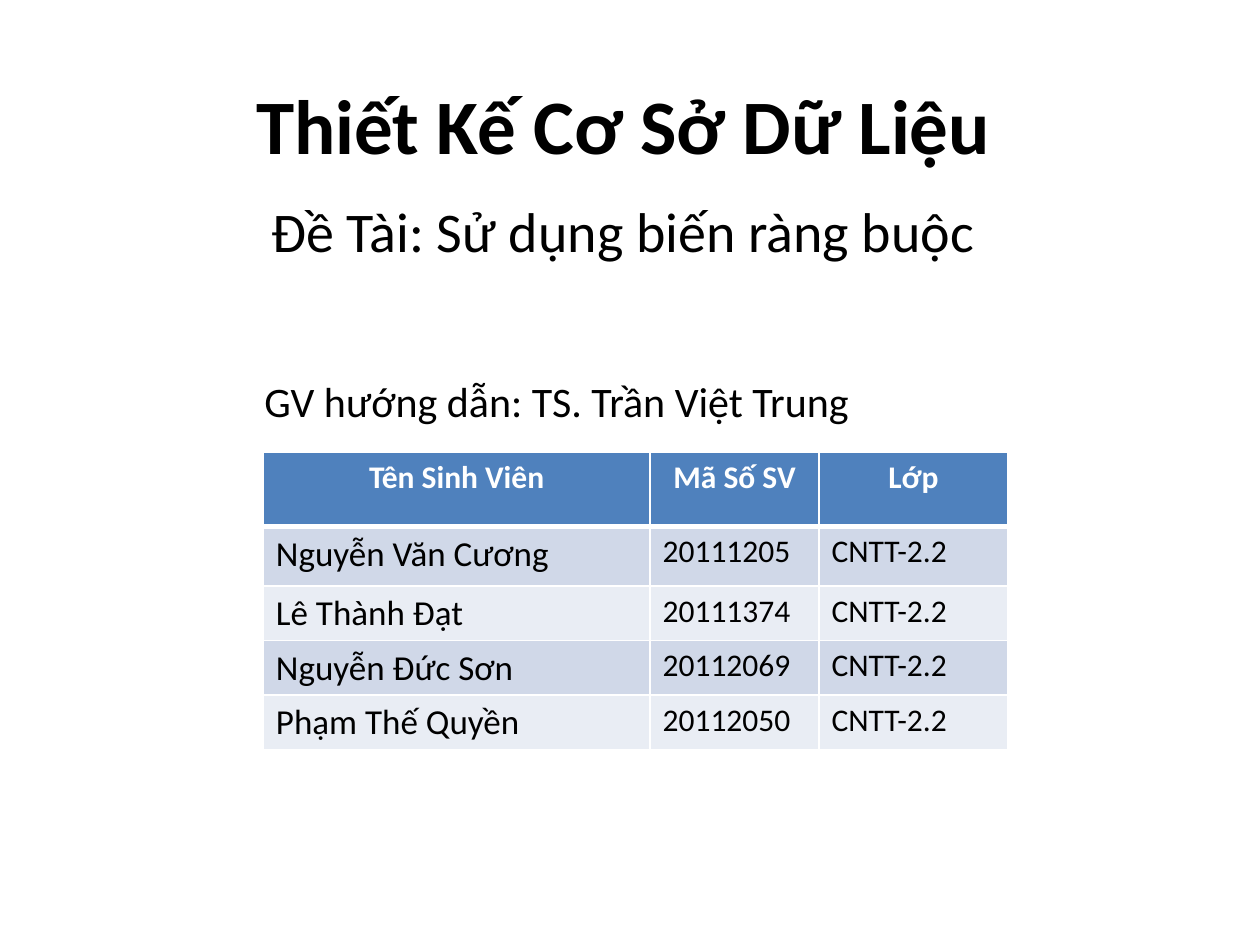
"""Builds a title slide with the topic, the adviser and a table of students."""
from lxml.etree import SubElement
from pptx import Presentation
from pptx.dml.color import RGBColor
from pptx.enum.text import MSO_ANCHOR, PP_ALIGN
from pptx.oxml.ns import qn
from pptx.util import Inches, Pt


def style(para, size, color, bold=False, align=PP_ALIGN.LEFT):
    para.alignment = align
    font = para.font
    font.name, font.size, font.bold = "Calibri", Pt(size), bold
    font.color.rgb = RGBColor.from_string(color)


def border(cell, side, width):
    line = SubElement(cell._tc.get_or_add_tcPr(), qn("a:" + side), w=str(Pt(width)))
    fill = SubElement(line, qn("a:solidFill"))
    SubElement(fill, qn("a:srgbClr"), val="FFFFFF")


deck = Presentation()
deck.slide_width, deck.slide_height = Inches(10), Inches(7.5)
slide = deck.slides.add_slide(deck.slide_layouts[6])

mid, left = PP_ALIGN.CENTER, PP_ALIGN.LEFT
texts = [
    ("Thiết Kế Cơ Sở Dữ Liệu", (0.7, 0.44, 8.5, 1.08), 44, True, mid, MSO_ANCHOR.MIDDLE),
    ("Đề Tài: Sử dụng biến ràng buộc", (0.47, 1.25, 8.95, 1.15), 32, False, mid, MSO_ANCHOR.MIDDLE),
    ("GV hướng dẫn: TS. Trần Việt Trung", (2, 2.93, 5.91, 0.5), 24, False, left, MSO_ANCHOR.TOP),
]
for text, place, size, bold, align, anchor in texts:
    frame = slide.shapes.add_textbox(*map(Inches, place)).text_frame
    frame.word_wrap = True
    frame.vertical_anchor = anchor
    frame.text = text
    style(frame.paragraphs[0], size, "000000", bold, align)

rows = [
    ("Tên Sinh Viên", "Mã Số SV", "Lớp"),
    ("Nguyễn Văn Cương", "20111205", "CNTT-2.2"),
    ("Lê Thành Đạt", "20111374", "CNTT-2.2"),
    ("Nguyễn Đức Sơn", "20112069", "CNTT-2.2"),
    ("Phạm Thế Quyền", "20112050", "CNTT-2.2"),
]
widths = [3.07, 1.34, 1.5]
heights = [0.59, 0.47, 0.37, 0.37, 0.37]
place = (2.09, 3.59, sum(widths), sum(heights))
table = slide.shapes.add_table(len(rows), len(widths), *map(Inches, place)).table
for col, width in zip(table.columns, widths):
    col.width = Inches(width)

for r, row in enumerate(rows):
    table.rows[r].height = Inches(heights[r])
    head = r == 0
    shade = "4F81BD" if head else ("E9EDF4", "D0D8E8")[r % 2]
    for c, text in enumerate(row):
        cell = table.cell(r, c)
        cell.text = text
        size = 18 if head or c else 20
        style(cell.text_frame.paragraphs[0], size, "FFFFFF" if head else "000000",
              head, mid if head else left)
        for side in ("lnL", "lnR", "lnT", "lnB"):
            heavy = (head and side == "lnB") or (r == 1 and side == "lnT")
            border(cell, side, 3 if heavy else 1)
        cell.fill.solid()
        cell.fill.fore_color.rgb = RGBColor.from_string(shade)

deck.save("out.pptx")
